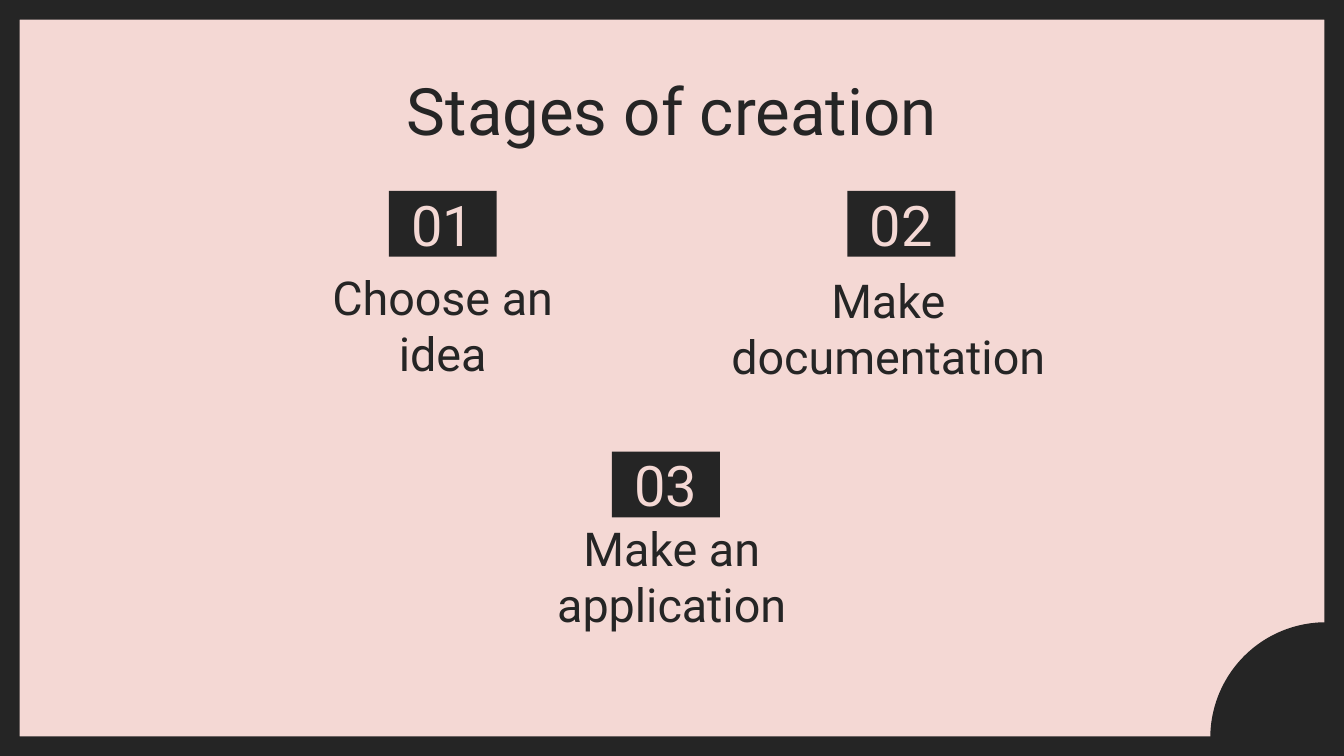
from collections import namedtuple

from pptx import Presentation
from pptx.dml.color import RGBColor
from pptx.enum.shapes import MSO_SHAPE
from pptx.enum.text import MSO_ANCHOR, PP_ALIGN
from pptx.util import Inches, Pt

WIDTH = 10
HEIGHT = WIDTH * 9 / 16
COLUMNS = 100
ROWS = COLUMNS * 9 / 16
INK, BLUSH = "252525", "F4D8D4"

Box = namedtuple("Box", "column row columns rows")


def color(hex_code):
    return RGBColor.from_string(hex_code)


def place(box):
    return (
        Inches(box.column * WIDTH / COLUMNS),
        Inches(box.row * HEIGHT / ROWS),
        Inches(box.columns * WIDTH / COLUMNS),
        Inches(box.rows * HEIGHT / ROWS),
    )


def write(shape, text, size, ink=INK, anchor=MSO_ANCHOR.TOP):
    frame = shape.text_frame
    frame.word_wrap = True
    frame.vertical_anchor = anchor
    frame.margin_left = frame.margin_right = Inches(0.1)
    frame.margin_top = frame.margin_bottom = Inches(0.1)
    frame.text = text
    for paragraph in frame.paragraphs:
        paragraph.alignment = PP_ALIGN.CENTER
        paragraph.font.name = "Roboto"
        paragraph.font.size = Pt(size)
        paragraph.font.color.rgb = color(ink)


def add_solid(slide, preset, box, adjustments=()):
    solid = slide.shapes.add_shape(preset, *place(box))
    solid.shadow.inherit = False
    solid.fill.solid()
    solid.fill.fore_color.rgb = color(INK)
    solid.line.fill.background()
    for index, value in enumerate(adjustments):
        solid.adjustments[index] = value
    return solid


def add_border(slide, box):
    add_solid(slide, MSO_SHAPE.FRAME, box, [0.026])
    radius = 8.6
    inset = 1.35
    corner = Box(
        box.columns - inset - radius, box.rows - inset - radius, 2 * radius, 2 * radius
    )
    add_solid(slide, MSO_SHAPE.PIE, corner, [107.86, 162])


def add_title(slide, box):
    write(slide.shapes.add_textbox(*place(box)), "Stages of creation", 35)


def add_stage(slide, number, caption, badge_box, caption_box):
    badge = add_solid(slide, MSO_SHAPE.RECTANGLE, badge_box)
    write(badge, f"{number:02}", 30, ink=BLUSH, anchor=MSO_ANCHOR.MIDDLE)
    label = slide.shapes.add_textbox(*place(caption_box))
    write(label, caption, 25, anchor=MSO_ANCHOR.BOTTOM)


def main():
    deck = Presentation()
    deck.slide_width, deck.slide_height = Inches(WIDTH), Inches(HEIGHT)
    slide = deck.slides.add_slide(deck.slide_layouts[6])
    slide.background.fill.solid()
    slide.background.fill.fore_color.rgb = color(BLUSH)

    add_border(slide, Box(0, 0, COLUMNS, ROWS))
    add_title(slide, Box(7.86, 4.2, 84.3, 6.9))
    stages = [
        ("Choose an idea", (28.93, 14.2), Box(20.33, 20.55, 25.2, 8.8)),
        ("Make documentation", (63.06, 14.2), Box(52.54, 20.75, 27.1, 8.8)),
        ("Make an\napplication", (45.54, 33.6), Box(36.93, 42.7, 26.1, 5.3)),
    ]
    for number, (caption, corner, caption_box) in enumerate(stages, start=1):
        add_stage(slide, number, caption, Box(*corner, 8.03, 4.9), caption_box)

    deck.save("out.pptx")


if __name__ == "__main__":
    main()
